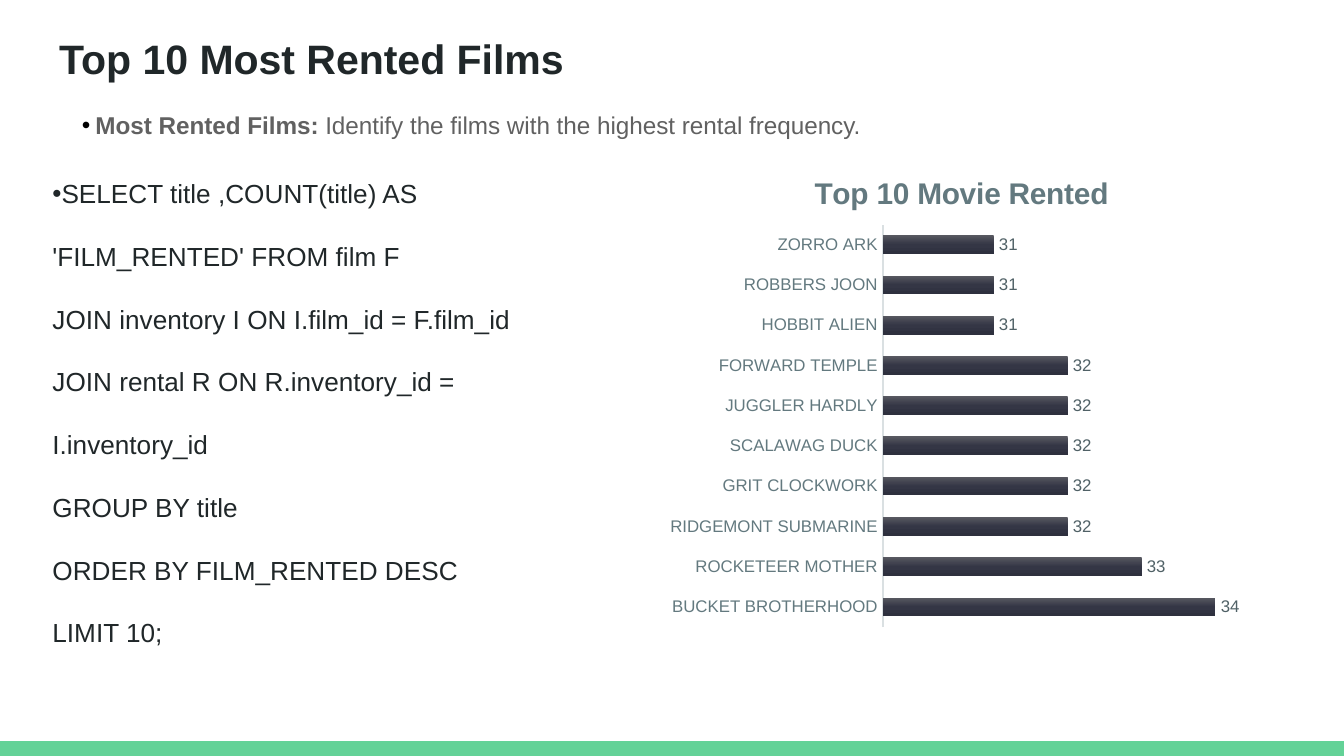
from dataclasses import dataclass

import lxml.etree
import pptx
import pptx.chart.data
import pptx.dml.color
import pptx.enum.chart
import pptx.enum.shapes
import pptx.enum.text
import pptx.oxml
import pptx.oxml.ns
import pptx.util

WIDTH = 10
HEIGHT = WIDTH * 9 / 16


@dataclass(frozen=True)
class Theme:
    font: str = "Arial"
    dark: str = "202729"
    muted: str = "616161"
    heading: str = "63797F"
    label: str = "506166"
    rule: str = "DAE0E2"
    accent: str = "63D297"
    bullet: str = "000000"
    bar_stops: tuple = ((0, "585961"), (50, "343645"), (100, "2E303E"))
    title_size: int = 22
    chart_title_size: int = 16
    query_size: int = 14
    summary_size: int = 13
    chart_size: int = 10
    label_size: int = 9


THEME = Theme()

FILMS = {
    "BUCKET BROTHERHOOD": 34,
    "ROCKETEER MOTHER": 33,
    "RIDGEMONT SUBMARINE": 32,
    "GRIT CLOCKWORK": 32,
    "SCALAWAG DUCK": 32,
    "JUGGLER HARDLY": 32,
    "FORWARD TEMPLE": 32,
    "HOBBIT ALIEN": 31,
    "ROBBERS JOON": 31,
    "ZORRO ARK": 31,
}
QUERY = (
    "SELECT title ,COUNT(title) AS 'FILM_RENTED' FROM film F",
    "JOIN inventory I ON I.film_id = F.film_id",
    "JOIN rental R ON R.inventory_id = I.inventory_id",
    "GROUP BY title",
    "ORDER BY FILM_RENTED DESC",
    "LIMIT 10;",
)


def rgb(color):
    return pptx.dml.color.RGBColor.from_string(color)


def format_font(font, size, color, bold=False):
    font.name, font.size, font.bold = THEME.font, pptx.util.Pt(size), bold
    font.color.rgb = rgb(color)


def add_text(paragraph, text, size, color, bold=False):
    run = paragraph.add_run()
    run.text = text
    format_font(run.font, size, color, bold)


def set_bullet(paragraph, character=None, color=None, margin=0, indent=0):
    properties = paragraph._p.get_or_add_pPr()
    properties.set("marL", str(pptx.util.Inches(margin)))
    properties.set("indent", str(pptx.util.Inches(indent)))
    if color:
        holder = lxml.etree.SubElement(properties, pptx.oxml.ns.qn("a:buClr"))
        lxml.etree.SubElement(holder, pptx.oxml.ns.qn("a:srgbClr"), val=color)
    if character:
        lxml.etree.SubElement(properties, pptx.oxml.ns.qn("a:buChar"), char=character)
    else:
        lxml.etree.SubElement(properties, pptx.oxml.ns.qn("a:buNone"))


def place(shape, box, insets, anchor):
    """Fit a placeholder to its box and return its text frame."""
    shape.left, shape.top, shape.width, shape.height = map(pptx.util.Inches, box)
    frame = shape.text_frame
    frame.word_wrap = True
    frame.auto_size = pptx.enum.text.MSO_AUTO_SIZE.NONE
    frame.vertical_anchor = anchor
    (frame.margin_left, frame.margin_top,
     frame.margin_right, frame.margin_bottom) = map(pptx.util.Inches, insets)
    return frame


def add_footer_bar(slide, box):
    bar = slide.shapes.add_shape(
        pptx.enum.shapes.MSO_SHAPE.RECTANGLE, *map(pptx.util.Inches, box))
    bar.shadow.inherit = False
    bar.fill.solid()
    bar.fill.fore_color.rgb = rgb(THEME.accent)
    bar.line.fill.background()


def fill_title(shape, box):
    frame = place(shape, box, (0.1,) * 4, pptx.enum.text.MSO_ANCHOR.TOP)
    paragraph = frame.paragraphs[0]
    paragraph.alignment = pptx.enum.text.PP_ALIGN.LEFT
    add_text(paragraph, "Top 10 Most Rented Films",
             size=THEME.title_size, color=THEME.dark, bold=True)


def fill_summary(shape, box):
    frame = place(shape, box, (0.21, 0, 0, 0.21), pptx.enum.text.MSO_ANCHOR.TOP)
    paragraph = frame.paragraphs[0]
    paragraph.space_before, paragraph.space_after = pptx.util.Pt(0), pptx.util.Pt(8)
    set_bullet(paragraph, "•", THEME.bullet, margin=0.25, indent=-0.1)
    style = {"size": THEME.summary_size, "color": THEME.muted}
    add_text(paragraph, "Most Rented Films: ", bold=True, **style)
    add_text(paragraph, "Identify the films with the highest rental frequency.", **style)


def fill_query(shape, box):
    frame = place(shape, box, (0.1, 0.05, 0.1, 0.05), pptx.enum.text.MSO_ANCHOR.MIDDLE)
    for index, line in enumerate(QUERY):
        paragraph = frame.add_paragraph() if index else frame.paragraphs[0]
        paragraph.line_spacing = 2.0
        paragraph.space_before = pptx.util.Pt(0)
        set_bullet(paragraph, None if index else "•")
        add_text(paragraph, line, size=THEME.query_size, color=THEME.dark)


def set_manual_layout(parent, **shares):
    """Fix a chart part at shares of the chart's size."""
    old = parent.find(pptx.oxml.ns.qn("c:layout"))
    if old is not None:
        parent.remove(old)
    layout = lxml.etree.Element(pptx.oxml.ns.qn("c:layout"))
    manual = lxml.etree.SubElement(layout, pptx.oxml.ns.qn("c:manualLayout"))
    for name, value in shares.items():
        lxml.etree.SubElement(manual, pptx.oxml.ns.qn(f"c:{name}"), val=str(value))
    parent.insert(0, layout)


def fill_with_gradient(chart_format, stops):
    chart_format.fill.background()
    properties = chart_format._element.get_or_add_spPr()
    marks = "".join(f'<a:gs pos="{share * 1000}"><a:srgbClr val="{color}"/></a:gs>'
                    for share, color in stops)
    gradient = pptx.oxml.parse_xml(
        f'<a:gradFill {pptx.oxml.ns.nsdecls("a")} rotWithShape="1">'
        f'<a:gsLst>{marks}</a:gsLst><a:lin ang="5400000" scaled="0"/></a:gradFill>')
    properties.replace(properties.find(pptx.oxml.ns.qn("a:noFill")), gradient)


def add_film_chart(slide, box):
    data = pptx.chart.data.CategoryChartData()
    data.categories = list(FILMS)
    data.add_series("Series 1", list(FILMS.values()))
    chart = slide.shapes.add_chart(
        pptx.enum.chart.XL_CHART_TYPE.BAR_CLUSTERED,
        *map(pptx.util.Inches, box), data).chart
    format_font(chart.font, THEME.chart_size, THEME.dark)
    chart.has_legend = False
    add_text(chart.chart_title.text_frame.paragraphs[0], "Top 10 Movie Rented",
             size=THEME.chart_title_size, color=THEME.heading, bold=True)
    set_manual_layout(chart._chartSpace.chart.plotArea, layoutTarget="inner",
                      xMode="edge", yMode="edge", x=0.37, y=0.15, w=0.61, h=0.83)

    films = chart.category_axis
    films.major_tick_mark = pptx.enum.chart.XL_TICK_MARK.NONE
    films.format.line.color.rgb = rgb(THEME.rule)
    films.format.line.width = pptx.util.Pt(1)
    format_font(films.tick_labels.font, THEME.label_size, THEME.heading)
    rentals = chart.value_axis
    rentals.visible = rentals.has_major_gridlines = False
    rentals.minimum_scale, rentals.maximum_scale = 29.5, 34.5

    plot = chart.plots[0]
    plot.gap_width, plot.overlap, plot.vary_by_categories = 115, -20, False
    series = plot.series[0]
    fill_with_gradient(series.format, THEME.bar_stops)
    labels = series.data_labels
    labels.show_value = True
    labels.position = pptx.enum.chart.XL_LABEL_POSITION.OUTSIDE_END
    format_font(labels.font, THEME.label_size, THEME.label)


def build_film_slide(presentation):
    slide = presentation.slides.add_slide(
        presentation.slide_layouts.get_by_name("Two Content"))
    title, summary, query = slide.placeholders
    add_footer_bar(slide, (0, HEIGHT - 0.11, WIDTH, 0.11))
    fill_title(title, (0.34, 0.15, 9.32, 0.63))
    fill_summary(summary, (0.25, 0.82, 9.24, 0.43))
    add_film_chart(slide, (0.49 * WIDTH, 1.13, 4.51, 3.61))
    fill_query(query, (0.29, 1.29, 4.39, 3.33))


def main():
    presentation = pptx.Presentation()
    presentation.slide_width = pptx.util.Inches(WIDTH)
    presentation.slide_height = pptx.util.Inches(HEIGHT)
    build_film_slide(presentation)
    presentation.save("out.pptx")


if __name__ == "__main__":
    main()
